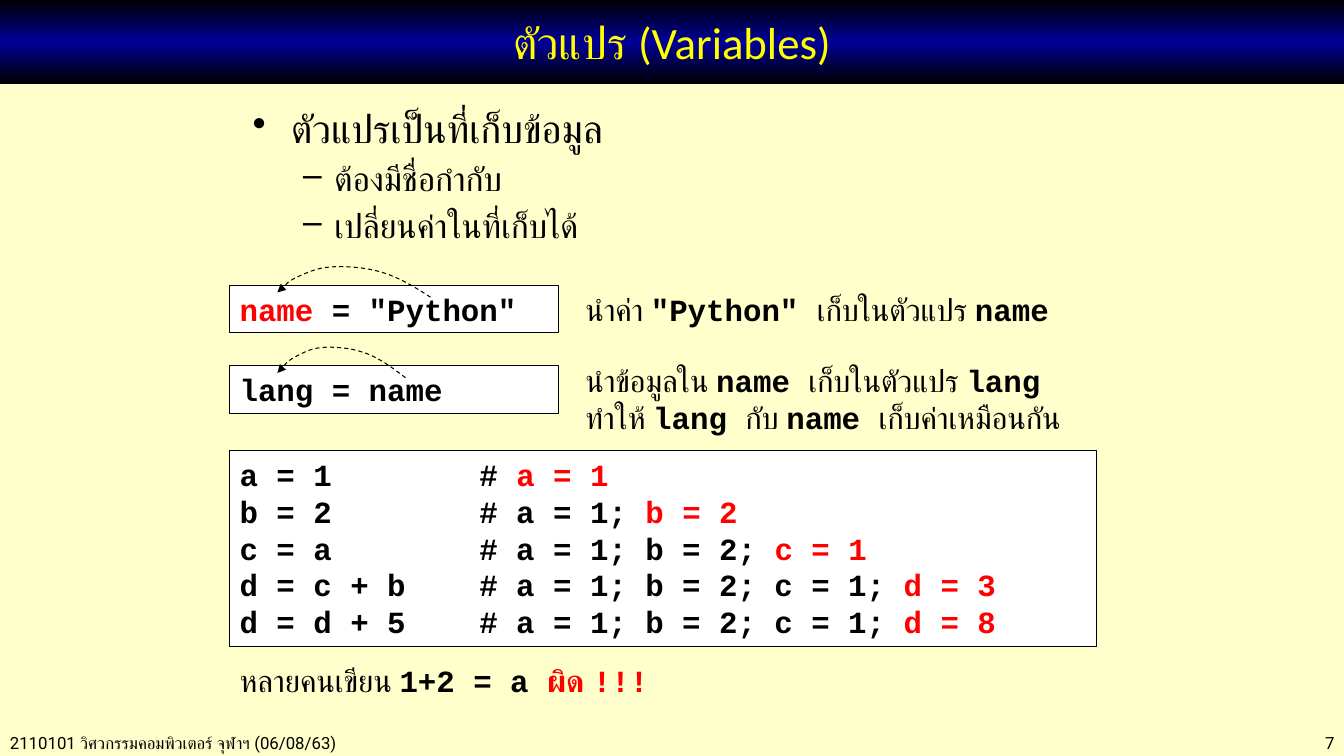
"""Build the slide on Python variables: how they are named, assigned and changed."""
from copy import deepcopy
from lxml.etree import SubElement
from pptx import Presentation
from pptx.dml.color import RGBColor
from pptx.enum.dml import MSO_LINE_DASH_STYLE as DASH
from pptx.enum.shapes import MSO_SHAPE as SHAPE
from pptx.enum.text import MSO_ANCHOR as ANCHOR, PP_ALIGN as ALIGN
from pptx.oxml.ns import qn
from pptx.util import Cm, Pt

BLACK = RGBColor(0x00, 0x00, 0x00)
WHITE = RGBColor(0xFF, 0xFF, 0xFF)
RED = RGBColor(0xFF, 0x00, 0x00)
YELLOW = RGBColor(0xFF, 0xFF, 0x00)
NAVY = RGBColor(0x00, 0x00, 0x99)
CREAM = RGBColor(0xFF, 0xFF, 0xCC)

PLAIN, BOLD = {}, {"bold": True}
HOT = {"bold": True, "color": RED}

TITLE = "ตัวแปร (Variables)"
FOOTER = "2110101 วิศวกรรมคอมพิวเตอร์ จุฬาฯ (06/08/63)"
PAGE = "7"
BULLETS = [
    ("•", "ตัวแปรเป็นที่เก็บข้อมูล", 28, 0.97, -0.97),
    ("–", "ต้องมีชื่อกำกับ", 24, 2.06, -0.79),
    ("–", "เปลี่ยนค่าในที่เก็บได้", 24, 2.06, -0.79),
]
ASSIGN_NAME = [[("name", HOT), (' = "Python"', BOLD)]]
ASSIGN_LANG = [[("lang = name", BOLD)]]
NOTE_NAME = [[("นำค่า ", PLAIN), ('"Python" ', BOLD), ("เก็บในตัวแปร ", PLAIN), ("name", BOLD)]]
NOTE_LANG = [
    [("นำข้อมูลใน ", PLAIN), ("name ", BOLD), ("เก็บในตัวแปร ", PLAIN), ("lang", BOLD)],
    [("ทำให้ ", PLAIN), ("lang ", BOLD), ("กับ ", PLAIN), ("name ", BOLD),
     ("เก็บค่าเหมือนกัน", PLAIN)],
]
WARNING = [[("หลายคนเขียน ", PLAIN), ("1+2 = a ", BOLD), ("ผิด !!!", HOT)]]
TRACE = [
    ("a = 1", "", "a = 1"),
    ("b = 2", "a = 1; ", "b = 2"),
    ("c = a", "a = 1; b = 2; ", "c = 1"),
    ("d = c + b", "a = 1; b = 2; c = 1; ", "d = 3"),
    ("d = d + 5", "a = 1; b = 2; c = 1; ", "d = 8"),
]
CODE_WIDTH = 13
TRACE_LINES = [[(f"{code:<{CODE_WIDTH}}# {known}", BOLD), (new, HOT)]
               for code, known, new in TRACE]

LEFT, NOTE_LEFT, ROW_H = 5.79, 14.5, 1.19
CODE_BOXES = [
    (ASSIGN_NAME, (LEFT, 7.19, 8.28, ROW_H)),
    (ASSIGN_LANG, (LEFT, 9.22, 8.28, ROW_H)),
    (TRACE_LINES, (LEFT, 11.35, 21.84, 4.95)),
]
NOTES = [
    (NOTE_NAME, (NOTE_LEFT, 7.19, 13.13, ROW_H)),
    (NOTE_LANG, (NOTE_LEFT, 8.99, 14.78, 2.13)),
    (WARNING, (LEFT, 16.56, 13.13, ROW_H)),
]
ARROW_LEFT = 6.99
ARROWS = [(6.73, 3.86), (8.76, 3.23)]
ARC = [(1, 0.76), (0.9, 0.51), (0.79, 0.25), (0.68, 0.13), (0.57, 0), (0.43, -0.03), (0.34, 0),
       (0.25, 0.03), (0.19, 0.15), (0.13, 0.25), (0.07, 0.36), (0.04, 0.51), (0, 0.64)]

prs = Presentation()
prs.slide_width, prs.slide_height = Cm(33.87), Cm(19.05)
slide = prs.slides.add_slide(prs.slide_layouts[6])
slide.background.fill.solid()
slide.background.fill.fore_color.rgb = CREAM
shapes = slide.shapes


def add_run(p, text, font="Courier New", size=22, color=BLACK, bold=False):
    r = p.add_run()
    r.text = text
    r.font.name, r.font.size, r.font.bold = font, Pt(size), bold
    r.font.color.rgb = color


def add_text(lines, box, sp=None, align=ALIGN.LEFT, anchor=ANCHOR.TOP, **base):
    sp = sp or shapes.add_textbox(*map(Cm, box))
    tf = sp.text_frame
    tf.word_wrap, tf.vertical_anchor = True, anchor
    for i, line in enumerate(lines):
        p = tf.paragraphs[0] if i == 0 else tf.add_paragraph()
        p.alignment = align
        for text, fmt in line:
            add_run(p, text, **{**base, **fmt})
    return tf


def add_rect(box):
    sp = shapes.add_shape(SHAPE.RECTANGLE, *map(Cm, box))
    sp.shadow.inherit = False
    return sp


def add_title(box):
    sp = add_rect(box)
    sp.line.fill.background()
    sp.fill.gradient()
    sp.fill.gradient_angle = 90
    stops = sp.element.spPr.find(".//" + qn("a:gsLst"))
    stops.append(deepcopy(stops[0]))
    for stop, color, position in zip(sp.fill.gradient_stops, (BLACK, NAVY, BLACK), (0, 0.5, 1)):
        stop.color.rgb, stop.position = color, position
    add_text([[(TITLE, PLAIN)]], box, sp, ALIGN.CENTER, ANCHOR.MIDDLE,
             font="Calibri", size=32, color=YELLOW)


def add_bullets(box):
    tf = add_text([[(text, {"size": size})] for _, text, size, _, _ in BULLETS],
                  box, font="Cambria")
    for p, (mark, _, size, margin, indent) in zip(tf.paragraphs, BULLETS):
        p.space_before = Pt(size * 0.2)
        pPr = p._p.get_or_add_pPr()
        pPr.set("marL", str(Cm(margin)))
        pPr.set("indent", str(Cm(indent)))
        SubElement(pPr, qn("a:buChar"), char=mark)


def add_arrow(top, width):
    points = [(Cm(ARROW_LEFT + x * width), Cm(top + y)) for x, y in ARC]
    builder = shapes.build_freeform(*points[0])
    builder.add_line_segments(points[1:], close=False)
    sp = builder.convert_to_shape()
    sp.shadow.inherit = False
    sp.fill.background()
    sp.line.color.rgb, sp.line.width = BLACK, Pt(0.75)
    sp.line.dash_style = DASH.DASH
    SubElement(sp.line._get_or_add_ln(), qn("a:tailEnd"), type="triangle")
    outline = sp.element.spPr.find(".//" + qn("a:path"))
    segments = outline.findall(qn("a:lnTo"))
    for i in range(0, len(segments), 3):
        curve = SubElement(outline, qn("a:cubicBezTo"))
        for segment in segments[i:i + 3]:
            curve.append(segment[0])
            outline.remove(segment)


add_text([[(FOOTER, PLAIN)]], (0, 18.34, 13.21, 0.76), font="Roboto", size=12)
add_text([[(PAGE, PLAIN)]], (29.21, 18.34, 4.67, 0.76), align=ALIGN.RIGHT, font="Roboto", size=12)
add_title((0, 0, 33.87, 2.11))
add_bullets((6.12, 2.51, 23.5, 4.37))
for lines, box in CODE_BOXES:
    sp = add_rect(box)
    sp.fill.solid()
    sp.fill.fore_color.rgb = WHITE
    sp.line.color.rgb, sp.line.width = BLACK, Pt(0.75)
    add_text(lines, box, sp)
for lines, box in NOTES:
    add_text(lines, box)
for top, width in ARROWS:
    add_arrow(top, width)
prs.save("out.pptx")
